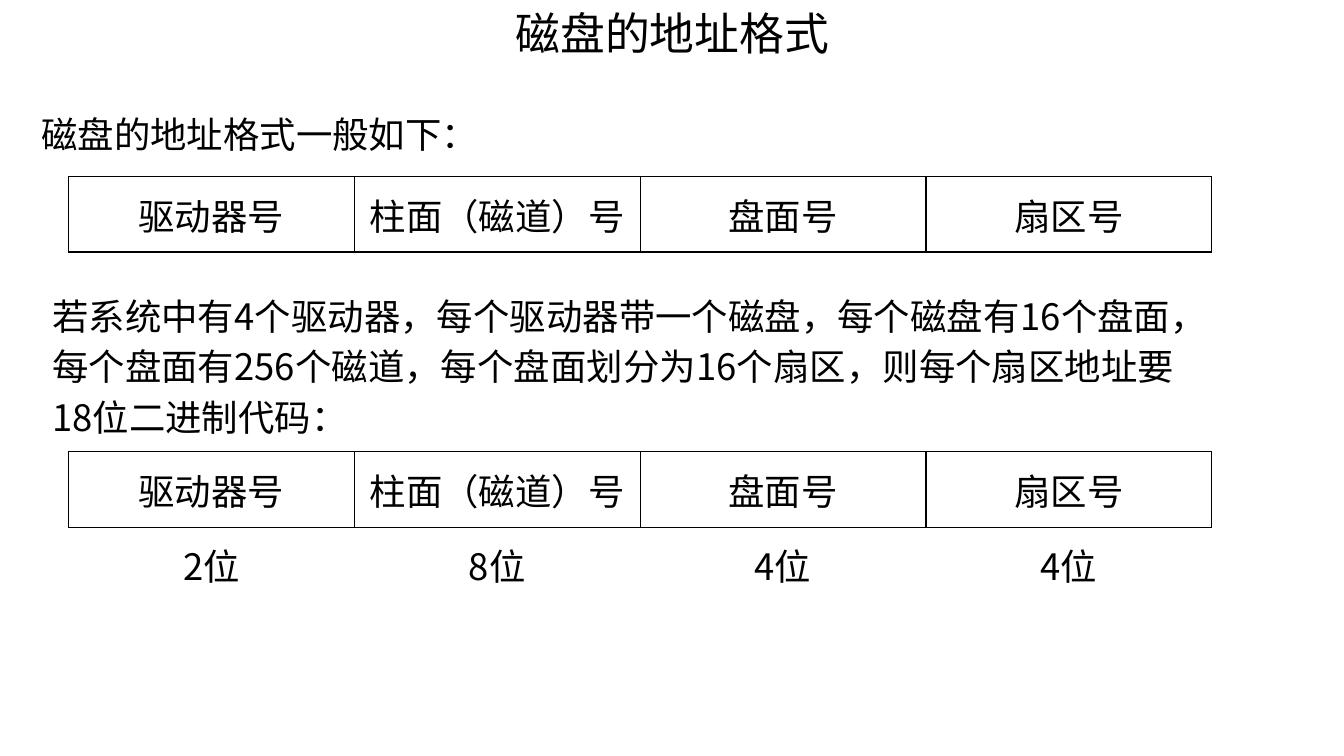
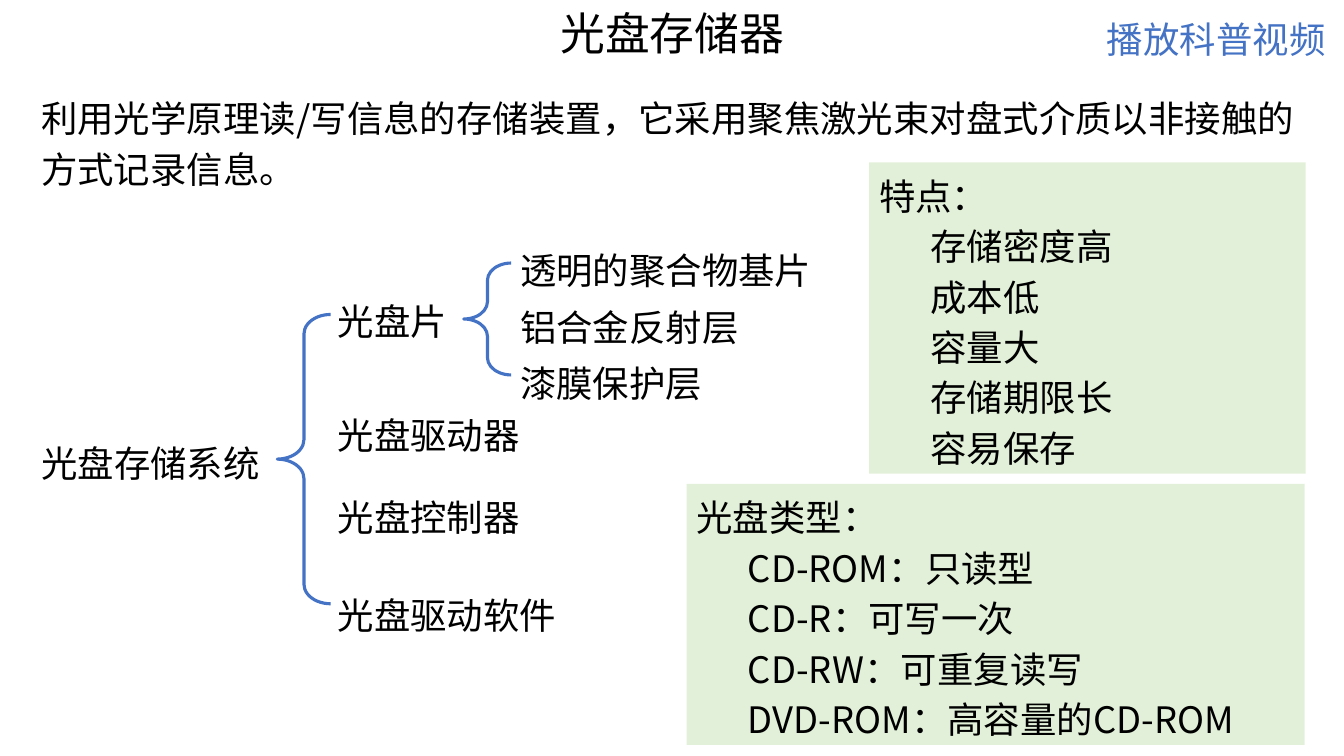
"""Build two slides on disk addresses and optical storage."""
import pptx
import pptx.dml.color
import pptx.enum.shapes
import pptx.enum.text
import pptx.oxml
import pptx.oxml.ns
import pptx.util
import lxml.etree

Inches = pptx.util.Inches
Pt = pptx.util.Pt
ALIGN = pptx.enum.text.PP_ALIGN
ANCHOR = pptx.enum.text.MSO_ANCHOR
SHAPE = pptx.enum.shapes.MSO_SHAPE
qn = pptx.oxml.ns.qn

COLORS = {"ink": "000000", "blue": "4472C4", "green": "E2F0D9"}
FACE = "Noto Sans CJK SC"
BODY = {"line_spacing": Pt(36)}
LABEL = {"line_spacing": 1.5}
MIDDLE = {"alignment": ALIGN.CENTER}
FIELDS = ["驱动器号", "柱面（磁道）号", "盘面号", "扇区号"]
BITS = ["2位", "8位", "4位", "4位"]


def color(name):
    return pptx.dml.color.RGBColor.from_string(COLORS[name])


def apply(thing, format):
    for key, value in format.items():
        setattr(thing, key, value)


def write(para, text, format, size=26, ink="ink"):
    apply(para, format)
    run = para.add_run()
    run.text = text
    apply(run.font, {"name": FACE, "size": Pt(size), "bold": False})
    run.font.color.rgb = color(ink)
    east = lxml.etree.SubElement(run.font._element, qn("a:ea"))
    east.set("typeface", FACE)


def add_text(slide, box, text, format, size=26, ink="ink"):
    frame = slide.shapes.add_textbox(*map(Inches, box)).text_frame
    frame.word_wrap = True
    write(frame.paragraphs[0], text, format, size, ink)


def add_slide(deck, title):
    slide = deck.slides.add_slide(deck.slide_layouts[6])
    add_text(slide, (3.97, 0.01, 5.4, 0.64), title, MIDDLE, 32)
    return slide


def add_edge(cell, side, shown):
    line = lxml.etree.SubElement(cell._tc.get_or_add_tcPr(), qn("a:ln" + side))
    line.set("w", str(Pt(1)))
    if shown:
        fill = lxml.etree.SubElement(line, qn("a:solidFill"))
        lxml.etree.SubElement(fill, qn("a:srgbClr")).set("val", COLORS["ink"])
    else:
        lxml.etree.SubElement(line, qn("a:noFill"))


def add_grid(slide, top, rows):
    box = (0.68, top, 11.34, 0.75 * len(rows))
    shape = slide.shapes.add_table(len(rows), len(FIELDS), *map(Inches, box))
    table = shape.table
    apply(table, {"first_row": False, "horz_banding": False})
    for y, row in enumerate(rows):
        for x, text in enumerate(row):
            cell = table.cell(y, x)
            cell.vertical_anchor = ANCHOR.MIDDLE
            for side in "LRTB":
                add_edge(cell, side, y == 0 or side == "T")
            cell.fill.background()
            write(cell.text_frame.paragraphs[0], text, MIDDLE)


def add_shape(slide, kind, box):
    shape = slide.shapes.add_shape(kind, *map(Inches, box))
    shape.shadow.inherit = False
    return shape


def add_brace(slide, box):
    brace = add_shape(slide, SHAPE.LEFT_BRACE, box)
    brace.adjustments[0] = 0.365
    brace.fill.background()
    brace.line.color.rgb = color("blue")
    brace.line.width = Pt(2.25)


def add_panel(slide, box, head, items):
    panel = add_shape(slide, SHAPE.RECTANGLE, box)
    panel.fill.solid()
    panel.fill.fore_color.rgb = color("green")
    panel.line.fill.background()
    frame = panel.text_frame
    apply(frame, {"word_wrap": True, "vertical_anchor": ANCHOR.TOP})
    format = {"alignment": ALIGN.LEFT, **BODY}
    write(frame.paragraphs[0], head, format)
    for item in items:
        para = frame.add_paragraph()
        para._p.get_or_add_pPr().set("marL", str(Inches(0.51)))
        write(para, item, format)


def add_labels(slide, left, width, labels):
    for top, text in labels:
        add_text(slide, (left, top, width, 0.68), text, LABEL)


def draw_disk(deck):
    slide = add_slide(deck, "磁盘的地址格式")
    add_text(slide, (0.31, 1, 12.72, 0.57), "磁盘的地址格式一般如下：", BODY)
    add_grid(slide, 1.75, [FIELDS])
    add_text(slide, (0.42, 2.8, 11.6, 1.58),
             "若系统中有4个驱动器，每个驱动器带一个磁盘，每个磁盘有16个盘面，"
             "每个盘面有256个磁道，每个盘面划分为16个扇区，"
             "则每个扇区地址要18位二进制代码：", BODY)
    add_grid(slide, 4.48, [FIELDS, BITS])


def draw_optic(deck):
    slide = add_slide(deck, "光盘存储器")
    add_text(slide, (0.31, 0.84, 12.64, 1.07),
             "利用光学原理读/写信息的存储装置，"
             "它采用聚焦激光束对盘式介质以非接触的方式记录信息。", BODY)
    add_text(slide, (10.88, 0.12, 2.45, 0.54), "播放科普视频", {}, ink="blue")
    add_labels(slide, 0.31, 2.38, [(4.11, "光盘存储系统")])
    add_brace(slide, (2.75, 3.12, 0.53, 2.87))
    add_labels(slide, 3.25, 2.38, [(2.7, "光盘片"), (3.83, "光盘驱动器"),
                                   (4.65, "光盘控制器"), (5.62, "光盘驱动软件")])
    add_brace(slide, (4.6, 2.61, 0.47, 1.11))
    layers = ["透明的聚合物基片", "铝合金反射层", "漆膜保护层"]
    add_labels(slide, 5.06, 3.14,
               [(2.2 + 0.56 * i, text) for i, text in enumerate(layers)])
    add_panel(slide, (8.62, 1.61, 4.33, 3.09), "特点：",
              ["存储密度高", "成本低", "容量大", "存储期限长", "容易保存"])
    add_panel(slide, (6.81, 4.8, 6.13, 2.59), "光盘类型：",
              ["CD-ROM：只读型", "CD-R：可写一次", "CD-RW：可重复读写",
               "DVD-ROM：高容量的CD-ROM"])


def main():
    deck = pptx.Presentation()
    apply(deck, {"slide_width": Inches(13.33), "slide_height": Inches(7.5)})
    draw_disk(deck)
    draw_optic(deck)
    deck.save("out.pptx")


if __name__ == "__main__":
    main()
